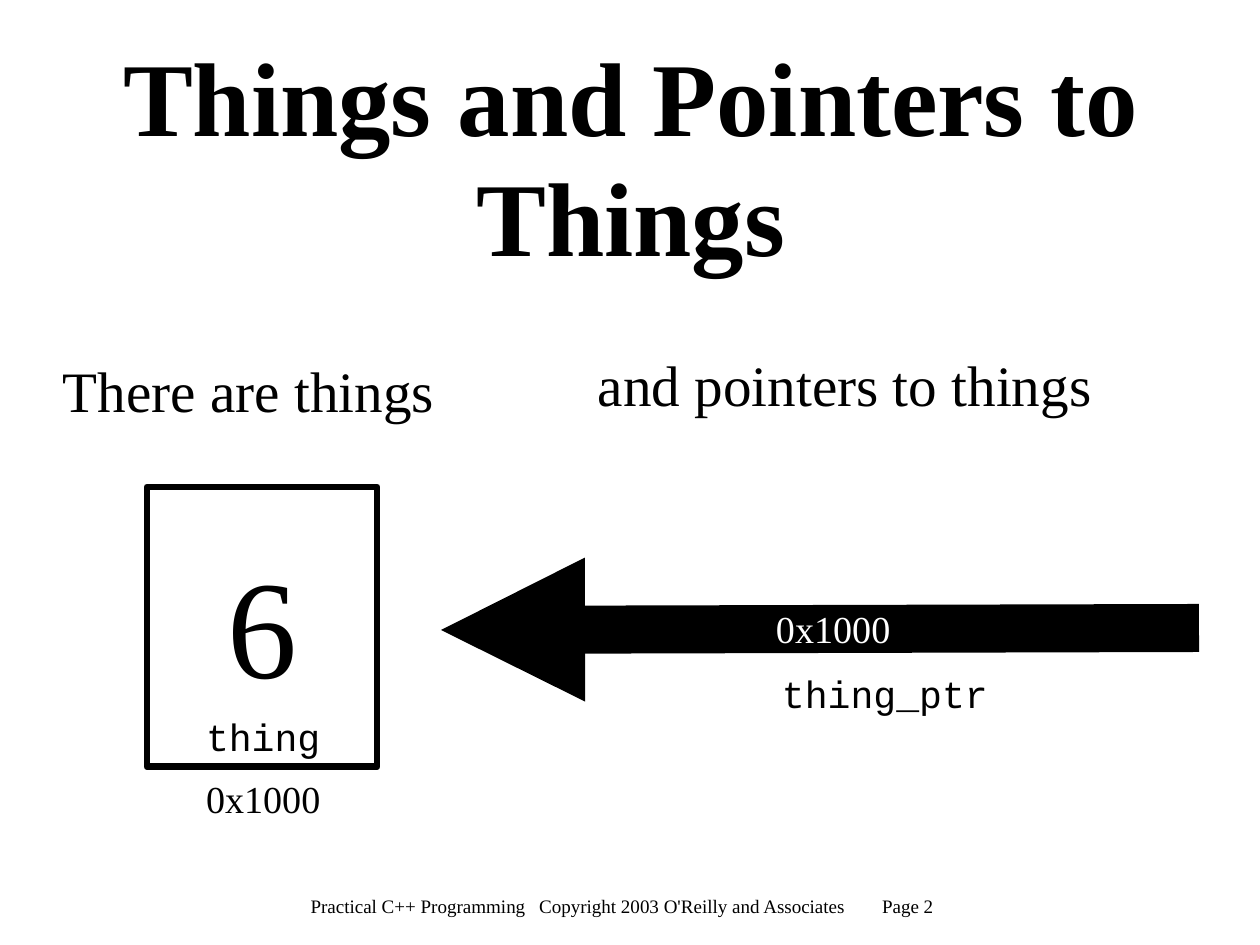
from pptx import Presentation
from pptx.dml.color import RGBColor
from pptx.enum.shapes import MSO_CONNECTOR, MSO_SHAPE
from pptx.enum.text import MSO_ANCHOR, MSO_AUTO_SIZE, PP_ALIGN
from pptx.oxml.ns import qn
from pptx.util import Pt
from lxml.etree import SubElement

PX = 8000  # EMU in one px
BLACK = RGBColor(0, 0, 0)
WHITE = RGBColor(255, 255, 255)
SERIF = "Times New Roman"
MONO = "Courier New"


def px(*lengths):
    return [length * PX for length in lengths]


def write(frame, text, size, font=SERIF, color=BLACK, bold=False,
          align=PP_ALIGN.LEFT, spacing=0.95, wrap=False,
          anchor=MSO_ANCHOR.TOP, insets=(0, 2, 0, 0)):
    """Fill a text frame with one formatted paragraph and return it."""
    left, top, right, bottom = px(*insets)
    frame_format = {"auto_size": MSO_AUTO_SIZE.NONE, "word_wrap": wrap,
                    "vertical_anchor": anchor, "margin_left": left,
                    "margin_top": top, "margin_right": right,
                    "margin_bottom": bottom}
    for name, value in frame_format.items():
        setattr(frame, name, value)
    paragraph = frame.paragraphs[0]
    paragraph.alignment = align
    paragraph.line_spacing = spacing
    run = paragraph.add_run()
    run.text = text
    for name, value in {"size": Pt(size), "name": font, "bold": bold}.items():
        setattr(run.font, name, value)
    run.font.color.rgb = color
    return paragraph


def add_label(slide, box, text, size, **text_format):
    label = slide.shapes.add_textbox(*px(*box))
    return write(label.text_frame, text, size, **text_format)


def add_code(slide, box, text):
    add_label(slide, box, text, 24, font=MONO, spacing=0.89,
              insets=(0, 5, 0, 0))


def add_title(slide, box, text):
    title = slide.shapes.title
    title.left, title.top, title.width, title.height = px(*box)
    write(title.text_frame, text, 66, bold=True, align=PP_ALIGN.CENTER,
          wrap=True, anchor=MSO_ANCHOR.MIDDLE, insets=(0, 6, 0, 0))


def add_thing(slide, left, top, width, height):
    add_label(slide, (left - 84, top - 129, 371, 63), "There are things", 36)
    thing = slide.shapes.add_shape(MSO_SHAPE.RECTANGLE,
                                   *px(left, top, width, height))
    thing.shadow.inherit = False
    thing.fill.solid()
    thing.fill.fore_color.rgb = WHITE
    thing.line.color.rgb = BLACK
    thing.line.width = Pt(4.31)
    SubElement(thing.line._get_or_add_ln(), qn("a:round"))
    write(thing.text_frame, "6", 88, align=PP_ALIGN.CENTER, wrap=True,
          anchor=MSO_ANCHOR.MIDDLE, insets=(3, 10, 3, 3))
    add_code(slide, (left + 59, top + height - 53, 114, 41), "thing")
    add_label(slide, (left + 59, top + height + 10, 114, 42), "0x1000", 24)


def add_pointer(slide, left, top, width, height):
    add_label(slide, (left + 157, top - 206, 494, 63),
              "and pointers to things", 36)
    middle = top + height // 2
    arrow = slide.shapes.add_connector(
        MSO_CONNECTOR.STRAIGHT,
        *px(left + width, middle - 2, left, middle))
    arrow.line.color.rgb = BLACK
    arrow.line.width = Pt(30.25)
    SubElement(arrow.line._get_or_add_ln(), qn("a:tailEnd"), type="triangle")
    SubElement(arrow._element.spPr, qn("a:effectLst"))
    add_code(slide, (left + 341, middle + 41, 206, 41), "thing_ptr")
    add_label(slide, (left + 335, middle - 23, 114, 42), "0x1000", 24,
              color=WHITE)


def add_footer(slide, box):
    footer = add_label(
        slide, box,
        "Practical C++ Programming\t"
        "Copyright 2003 O'Reilly and Associates\tPage 2",
        12, align=PP_ALIGN.CENTER, insets=(0, 1, 0, 0))
    tabs = SubElement(footer._p.get_or_add_pPr(), qn("a:tabLst"))
    for inches in (2, 5):
        SubElement(tabs, qn("a:tab"), pos=str(inches * 914400), algn="l")


def main():
    deck = Presentation()
    deck.slide_width, deck.slide_height = px(1260, 945)
    slide = deck.slides.add_slide(deck.slide_layouts[5])
    add_title(slide, (93, 37, 1076, 241), "Things and Pointers to Things")
    add_thing(slide, 147, 487, 230, 280)
    add_pointer(slide, 441, 558, 758, 144)
    add_footer(slide, (27, 895, 1190, 23))
    deck.save("out.pptx")


if __name__ == "__main__":
    main()
